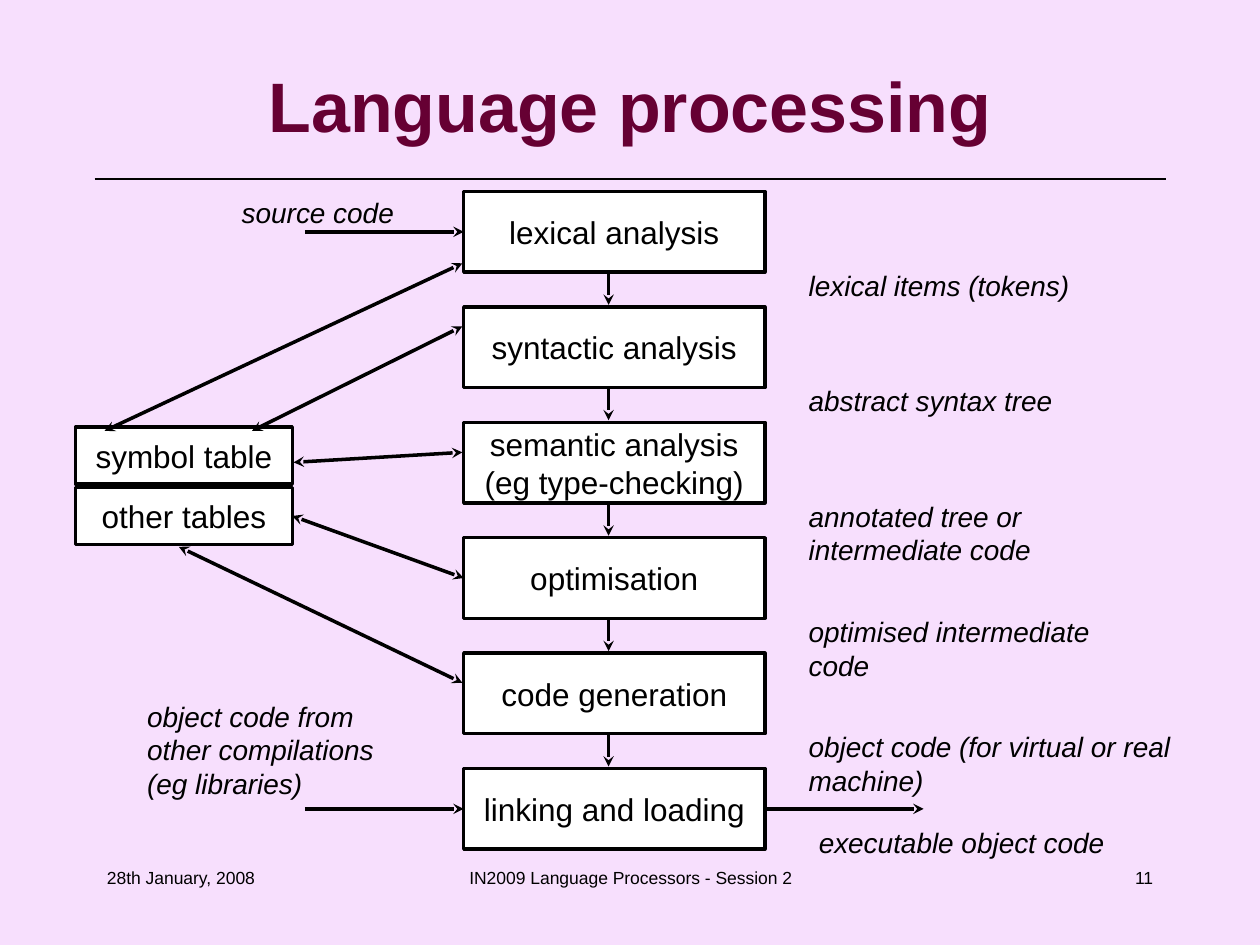
from lxml.etree import SubElement
from pptx import Presentation
from pptx.dml.color import RGBColor
from pptx.enum.shapes import MSO_CONNECTOR, MSO_SHAPE
from pptx.enum.text import MSO_ANCHOR, MSO_AUTO_SIZE, PP_ALIGN
from pptx.oxml.ns import qn
from pptx.util import Inches, Pt

COLOURS = {"background": "F7DFFD", "title": "660033", "ink": "000000", "box": "FFFFFF"}

# Content: each stage with the result passed on below it, and the label's width
STAGES = [
    (["lexical analysis"], ["lexical items (tokens)"], 2.27),
    (["syntactic analysis"], ["abstract syntax tree"], 2.14),
    (["semantic analysis", "(eg type-checking)"], ["annotated tree or", "intermediate code"], 1.96),
    (["optimisation"], ["optimised intermediate", "code"], 2.43),
    (["code generation"], ["object code (for virtual or real", "machine)"], 3.07),
    (["linking and loading"], None, None),
]
TABLES = ["symbol table", "other tables"]
INPUT_OUTPUT_LABELS = [
    (["source code"], (1.82, 1.5, 1.41, 0.37)),
    (["object code from", "other compilations", "(eg libraries)"], (1.07, 5.5, 2, 0.9)),
    (["executable object code"], (6.4, 6.5, 2.47, 0.37)),
]
TABLE_LINKS = [
    ((3.67, 2.09), (0.83, 3.42)),
    ((3.67, 2.59), (2, 3.42)),
    ((3.67, 3.59), (2.33, 3.67)),
    ((3.67, 5.42), (1.42, 4.34)),
]
FOOTERS = [
    ("28th January, 2008", 0.75, 2.08, PP_ALIGN.LEFT),
    ("IN2009 Language Processors - Session 2", 3.42, 3.17, PP_ALIGN.CENTER),
    ("11", 7.17, 2.08, PP_ALIGN.RIGHT),
]

# Layout
STAGE_LEFT, STAGE_TOP, STAGE_WIDTH, STAGE_HEIGHT = 3.68, 1.52, 2.39, 0.64
STAGE_STEP = (6.1 - STAGE_TOP) / (len(STAGES) - 1)
FLOW_X, LABEL_LEFT, LABEL_DROP = 4.83, 6.32, 0.56
TABLE_LEFT, TABLE_TOP, TABLE_WIDTH, TABLE_HEIGHT, TABLE_STEP = 0.6, 3.39, 1.72, 0.45, 0.48
LEFT, RIGHT = 1, 3

# Text formats
TITLE = {"size": Pt(40), "bold": True}
BOX = {"size": Pt(18)}
LABEL = {"size": Pt(16), "italic": True}
FOOTER = {"size": Pt(10)}


def colour(name):
    return RGBColor.from_string(COLOURS[name])


def write(shape, lines, style, align=PP_ALIGN.LEFT, ink="ink", **frame_format):
    frame = shape.text_frame
    for name, value in frame_format.items():
        setattr(frame, name, value)
    for index, line in enumerate(lines):
        para = frame.add_paragraph() if index else frame.paragraphs[0]
        para.alignment = align
        span = para.add_run()
        span.text = line
        for name, value in {"name": "Arial", **style}.items():
            setattr(span.font, name, value)
        span.font.color.rgb = colour(ink)


def add_text(page, lines, place, style, **text_format):
    box = page.shapes.add_textbox(*map(Inches, place))
    write(box, lines, style, **text_format)


def add_label(page, lines, place):
    add_text(page, lines, place, LABEL, word_wrap=False,
             auto_size=MSO_AUTO_SIZE.SHAPE_TO_FIT_TEXT)


def add_box(shapes, lines, place):
    box = shapes.add_shape(MSO_SHAPE.RECTANGLE, *map(Inches, place))
    box.shadow.inherit = False
    box.fill.solid()
    box.fill.fore_color.rgb = colour("box")
    box.line.color.rgb = colour("ink")
    box.line.width = Pt(2)
    write(box, lines, BOX, PP_ALIGN.CENTER, word_wrap=False,
          vertical_anchor=MSO_ANCHOR.MIDDLE)
    return box


def add_line(page, start, end, width=2, arrows=("tailEnd",)):
    line = page.shapes.add_connector(MSO_CONNECTOR.STRAIGHT, *map(Inches, start + end))
    line.line.color.rgb = colour("ink")
    line.line.width = Pt(width)
    for arrow in arrows:
        SubElement(line.line._get_or_add_ln(), qn(f"a:{arrow}"), type="stealth")
    SubElement(line._element.spPr, qn("a:effectLst"))
    return line


def main():
    deck = Presentation()
    deck.slide_width, deck.slide_height = Inches(10), Inches(7.5)
    page = deck.slides.add_slide(deck.slide_layouts[6])
    page.background.fill.solid()
    page.background.fill.fore_color.rgb = colour("background")

    # Title and rule
    add_line(page, (0.75, 1.42), (9.25, 1.42), width=0.75, arrows=())
    add_text(page, ["Language processing"], (0.5, 0.33, 9, 1), TITLE, ink="title",
             align=PP_ALIGN.CENTER, word_wrap=True, vertical_anchor=MSO_ANCHOR.MIDDLE)

    # Stages, the flow between them and their results
    stages = []
    for index, (lines, result, label_width) in enumerate(STAGES):
        top = STAGE_TOP + index * STAGE_STEP
        place = (STAGE_LEFT, top, STAGE_WIDTH, STAGE_HEIGHT)
        stages.append(add_box(page.shapes, lines, place))
        if result:
            add_line(page, (FLOW_X, top + 0.65), (FLOW_X, top + 0.9))
            height = 0.37 if len(result) == 1 else 0.63
            add_label(page, result, (LABEL_LEFT, top + LABEL_DROP, label_width, height))

    # Inputs and output
    for lines, place in INPUT_OUTPUT_LABELS:
        add_label(page, lines, place)
    for stage, y in ((stages[0], 1.84), (stages[-1], 6.42)):
        add_line(page, (2.42, y), (3.68, y)).end_connect(stage, LEFT)
    add_line(page, (6.07, 6.42), (7.33, 6.42)).begin_connect(stages[-1], RIGHT)

    # Tables and their links to the stages
    group = page.shapes.add_group_shape()
    tables = [
        add_box(group.shapes, [name],
                (TABLE_LEFT, TABLE_TOP + index * TABLE_STEP, TABLE_WIDTH, TABLE_HEIGHT))
        for index, name in enumerate(TABLES)
    ]
    both_ends = ("headEnd", "tailEnd")
    for start, end in TABLE_LINKS:
        add_line(page, start, end, arrows=both_ends)
    link = add_line(page, (3.68, 4.59), (2.32, 4.09), arrows=both_ends)
    link.begin_connect(stages[3], LEFT)
    link.end_connect(tables[1], RIGHT)

    # Footer
    for text, left, width, align in FOOTERS:
        add_text(page, [text], (left, 6.83, width, 0.5), FOOTER, align=align, word_wrap=True)

    deck.save("out.pptx")


if __name__ == "__main__":
    main()
